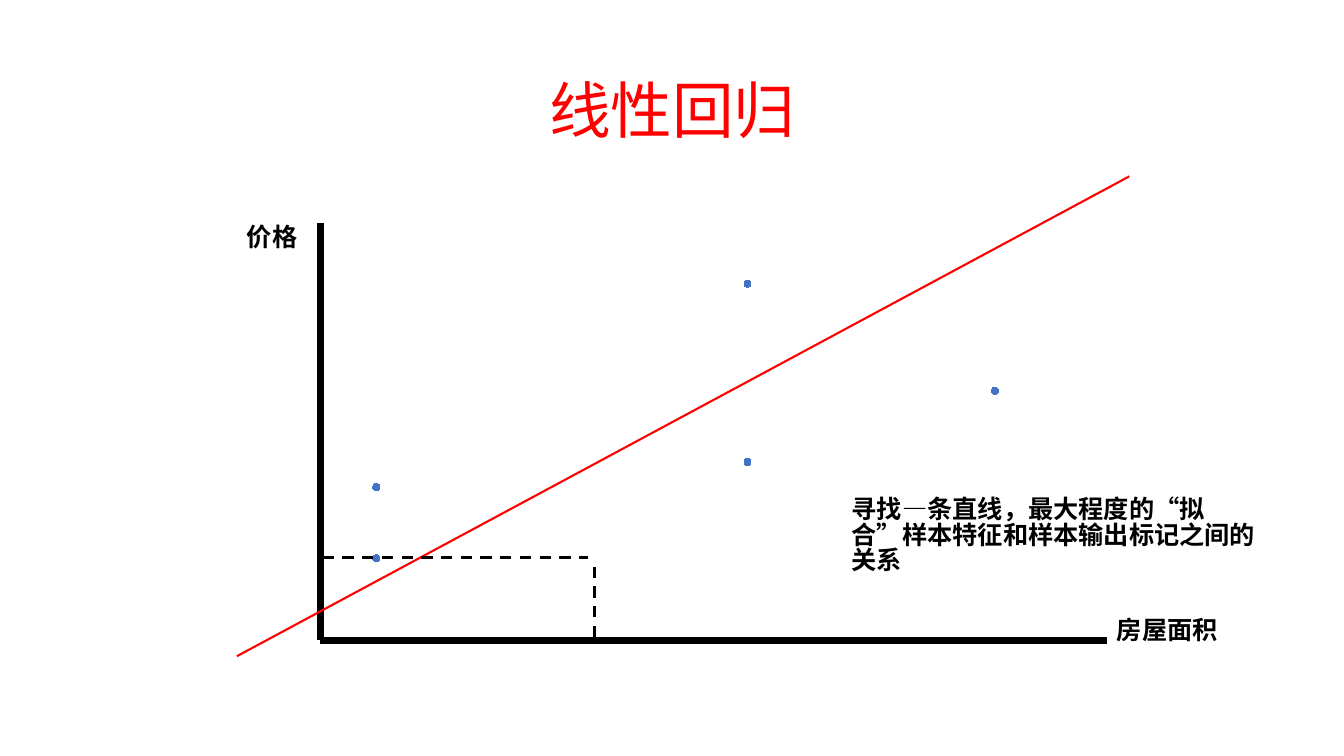
"""Build a slide that explains linear regression with a scatter chart."""
import dataclasses

import lxml.etree
import pptx
import pptx.chart.data
import pptx.dml.color
import pptx.enum.chart
import pptx.enum.dml
import pptx.enum.shapes
import pptx.enum.text
import pptx.oxml.ns
import pptx.util

Inches = pptx.util.Inches
Pt = pptx.util.Pt
RGBColor = pptx.dml.color.RGBColor
Align = pptx.enum.text.PP_ALIGN
Anchor = pptx.enum.text.MSO_ANCHOR
Dash = pptx.enum.dml.MSO_LINE

FONT = "Noto Sans CJK SC"
RED = RGBColor(0xFF, 0x00, 0x00)
BLACK = RGBColor(0x00, 0x00, 0x00)
BLUE = RGBColor(0x44, 0x72, 0xC4)


@dataclasses.dataclass(frozen=True)
class Label:
    text: str
    left: float
    top: float
    width: float
    height: float
    size: float = 18
    color: RGBColor = BLACK
    bold: bool = True
    wrap: bool = False
    align: Align = Align.LEFT
    anchor: Anchor = Anchor.TOP
    spacing: float = 0.83


@dataclasses.dataclass(frozen=True)
class Line:
    x1: float
    y1: float
    x2: float
    y2: float
    color: RGBColor = BLACK
    width: float = 2
    dash: Dash = Dash.DASH


TITLE = Label("线性回归", 0.92, 0.4, 11.5, 1.45, size=44, color=RED, bold=False,
              wrap=True, align=Align.CENTER, anchor=Anchor.MIDDLE, spacing=0.9)
LABELS = [
    Label("房屋面积", 10.98, 6.1, 1.21, 0.4),
    Label("价格", 2.35, 2.2, 0.71, 0.4),
    Label("寻找—条直线，最大程度的“拟合”样本特征和样本输出标记之间的关系",
          8.35, 4.9, 4.3, 0.71, wrap=True),
]
LINES = [
    Line(2.35, 6.51, 11.2, 1.75, color=RED, width=1.5, dash=Dash.SOLID),
    Line(5.9, 6.32, 5.9, 5.6),
    Line(3.2, 5.53, 5.83, 5.53),
]
SAMPLES = [(0.7, 23), (1.8, 70), (1.36, 50), (1.36, 100), (0.7, 43)]
PLOT = {"x": 0.052, "y": 0.075, "w": 0.933, "h": 0.852}


def add_label(s: pptx.slide.Slide, label: Label) -> None:
    """Add one text box."""
    sp = s.shapes.add_textbox(Inches(label.left), Inches(label.top),
                              Inches(label.width), Inches(label.height))
    tf = sp.text_frame
    tf.word_wrap = label.wrap
    tf.vertical_anchor = label.anchor
    p = tf.paragraphs[0]
    p.alignment = label.align
    p.line_spacing = label.spacing
    r = p.add_run()
    r.text = label.text
    r.font.size = Pt(label.size)
    r.font.bold = label.bold
    r.font.color.rgb = label.color
    r.font.name = FONT
    ea = lxml.etree.SubElement(r.font._element, pptx.oxml.ns.qn("a:ea"))
    ea.set("typeface", FONT)


def add_line(s: pptx.slide.Slide, line: Line) -> None:
    """Add one straight line without a shadow."""
    sp = s.shapes.add_connector(
        pptx.enum.shapes.MSO_CONNECTOR.STRAIGHT,
        Inches(line.x1), Inches(line.y1), Inches(line.x2), Inches(line.y2))
    sp.line.color.rgb = line.color
    sp.line.width = Pt(line.width)
    sp.line.dash_style = line.dash
    lxml.etree.SubElement(sp._element.spPr, pptx.oxml.ns.qn("a:effectLst"))


def style_axis(axis: pptx.chart.axis.ValueAxis, low: float, high: float) -> None:
    """Show an axis as a bare thick line."""
    axis.minimum_scale = low
    axis.maximum_scale = high
    axis.has_major_gridlines = False
    axis.major_tick_mark = pptx.enum.chart.XL_TICK_MARK.NONE
    axis.minor_tick_mark = pptx.enum.chart.XL_TICK_MARK.NONE
    axis.tick_label_position = pptx.enum.chart.XL_TICK_LABEL_POSITION.NONE
    axis.format.line.color.rgb = BLACK
    axis.format.line.width = Pt(5)


def place_plot(chart: pptx.chart.chart.Chart) -> None:
    """Fix the inner plot area inside the chart frame."""
    qn = pptx.oxml.ns.qn
    area = chart._chartSpace.chart.plotArea
    for old in area.findall(qn("c:layout")):
        area.remove(old)
    layout = lxml.etree.Element(qn("c:layout"))
    area.insert(0, layout)
    manual = lxml.etree.SubElement(layout, qn("c:manualLayout"))
    settings = {"layoutTarget": "inner", "xMode": "edge", "yMode": "edge", **PLOT}
    for name, value in settings.items():
        lxml.etree.SubElement(manual, qn(f"c:{name}")).set("val", str(value))


def add_scatter(s: pptx.slide.Slide) -> None:
    """Add the chart of house samples."""
    data = pptx.chart.data.XyChartData()
    series = data.add_series("Series 1")
    for x, y in SAMPLES:
        series.add_data_point(x, y)
    chart = s.shapes.add_chart(
        pptx.enum.chart.XL_CHART_TYPE.XY_SCATTER,
        Inches(2.74), Inches(1.85), Inches(8.37), Inches(4.86), data).chart
    chart.has_title = False
    chart.has_legend = False
    chart.font.name = FONT
    chart.font.size = Pt(10)
    chart.font.color.rgb = BLACK
    style_axis(chart.category_axis, 0.6, 2)
    style_axis(chart.value_axis, 0, 117)
    place_plot(chart)
    plot = chart.plots[0]
    plot.vary_by_categories = False
    samples = plot.series[0]
    samples.format.line.fill.background()
    marker = samples.marker
    marker.style = pptx.enum.chart.XL_MARKER_STYLE.CIRCLE
    marker.size = 5
    marker.format.fill.solid()
    marker.format.fill.fore_color.rgb = BLUE
    marker.format.line.color.rgb = BLUE


def main() -> None:
    """Create and save the presentation."""
    prs = pptx.Presentation()
    prs.slide_width = Inches(13.33)
    prs.slide_height = Inches(7.5)
    s = prs.slides.add_slide(prs.slide_layouts[6])
    add_label(s, TITLE)
    add_scatter(s)
    for line in LINES:
        add_line(s, line)
    for label in LABELS:
        add_label(s, label)
    prs.save("out.pptx")


if __name__ == "__main__":
    main()
